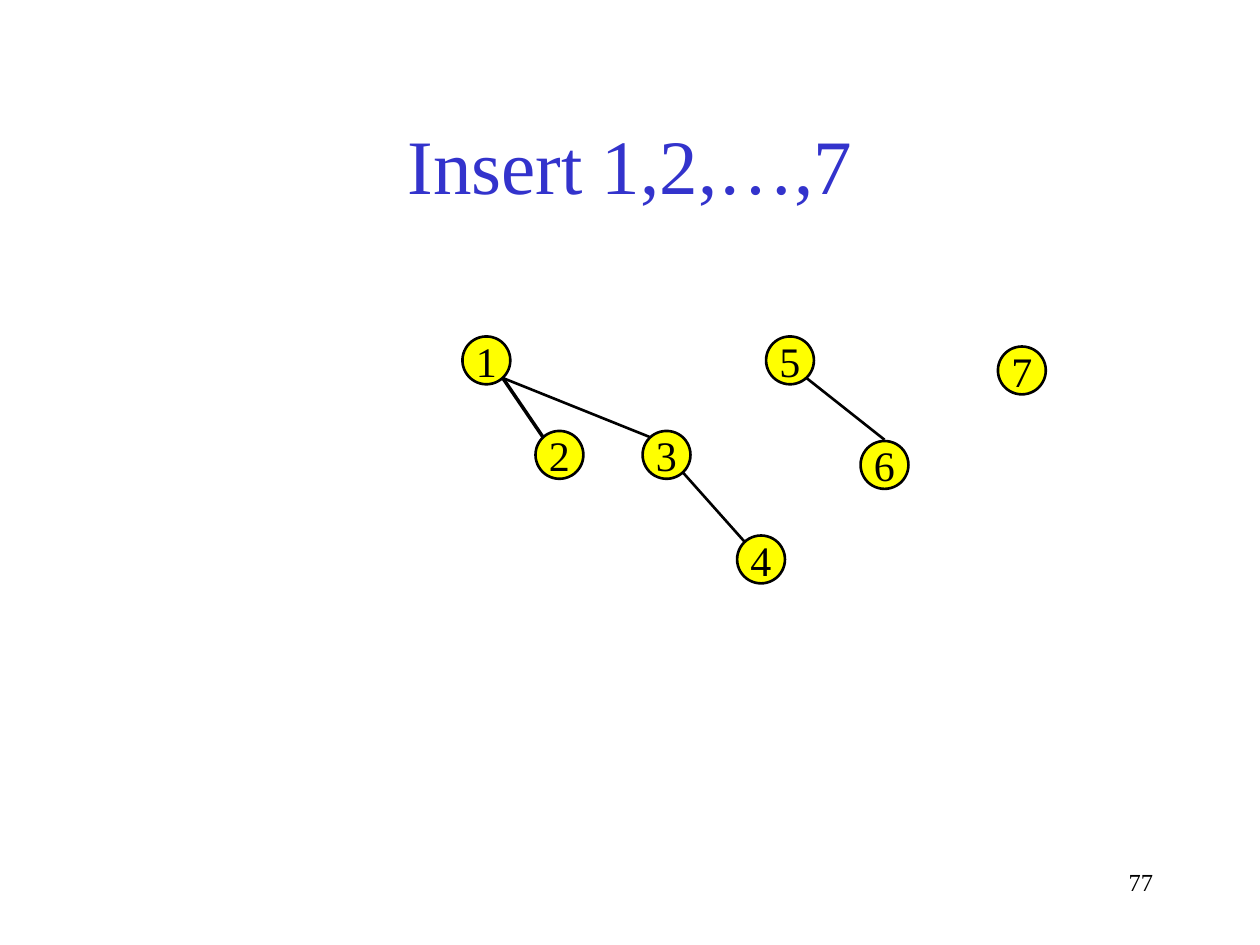
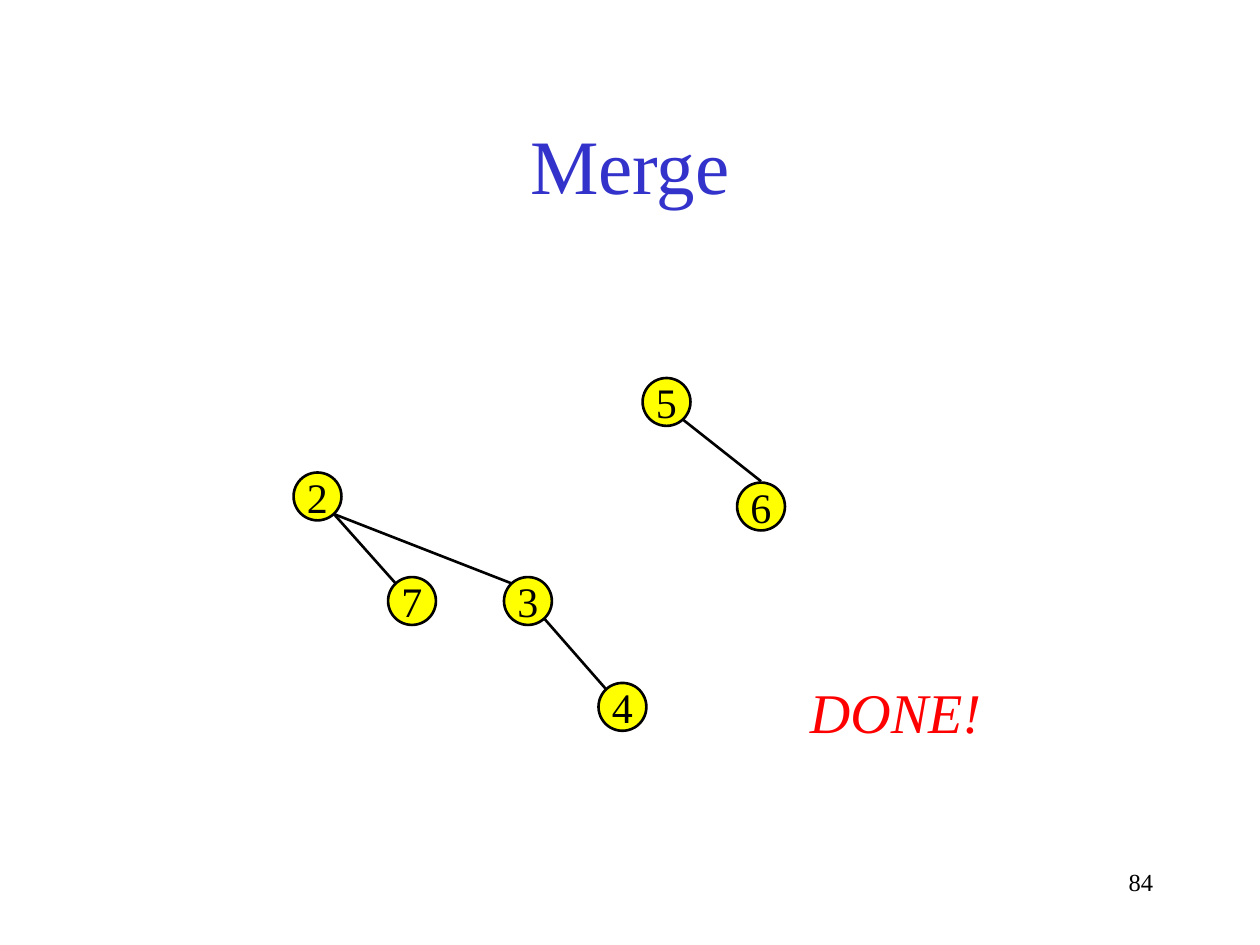
"""Build two slides that show binomial heap trees."""
from pptx import Presentation
from pptx.dml.color import RGBColor as Rgb
from pptx.enum.shapes import MSO_CONNECTOR as Connector, MSO_SHAPE as Shape
from pptx.enum.text import MSO_ANCHOR as Anchor, PP_ALIGN as Align
from pptx.oxml.ns import qn
from pptx.util import Inches, Pt
from lxml.etree import SubElement

COLOURS = {"title": "3333CC", "ink": "000000", "node": "FFFF00", "done": "FF0000"}
FONT = "Times New Roman"
NODE_SIZE = 0.38
NEAR, MIDDLE, FAR = 0.06, 0.19, 0.32


def colour(name):
    """Return the named colour."""
    return Rgb.from_string(COLOURS[name])


def write(holder, text, size=24, ink="ink", align=Align.CENTER,
          anchor=Anchor.MIDDLE, wrap=True, italic=False):
    """Write one formatted line in a shape or text box."""
    frame = holder.text_frame
    frame.word_wrap = wrap
    frame.vertical_anchor = anchor
    para = frame.paragraphs[0]
    para.alignment = align
    span = para.add_run()
    span.text = text
    span.font.name = FONT
    span.font.size = Pt(size)
    span.font.italic = italic
    span.font.color.rgb = colour(ink)


def add_text(page, box, text, **style):
    """Add a text box at left, top, width, height."""
    write(page.shapes.add_textbox(*map(Inches, box)), text, **style)


def add_node(page, label, left, top):
    """Draw one numbered circle."""
    node = page.shapes.add_shape(Shape.OVAL, Inches(left), Inches(top),
                                 Inches(NODE_SIZE), Inches(NODE_SIZE))
    node.shadow.inherit = False
    node.fill.solid()
    node.fill.fore_color.rgb = colour("node")
    node.line.color.rgb = colour("ink")
    node.line.width = Pt(1.5)
    write(node, label, wrap=False)


def add_edge(page, parent, child, entry=NEAR, width=1.5):
    """Link the lower right of a parent to the upper left or top of a child."""
    rise = 0.05 if entry == NEAR else -0.01
    ends = (parent[0] + FAR, parent[1] + FAR + 0.01, child[0] + entry, child[1] + rise)
    edge = page.shapes.add_connector(Connector.STRAIGHT, *map(Inches, ends))
    edge.line.color.rgb = colour("ink")
    edge.line.width = Pt(width)
    SubElement(edge._element.spPr, qn("a:effectLst"))


def add_tree(page, left, top, nodes, edges=()):
    """Draw a tree whose node offsets are relative to its root's corner."""
    places = {label: (left + x, top + y) for label, (x, y) in nodes.items()}
    for label, place in places.items():
        add_node(page, label, *place)
    for parent, child, style in edges:
        add_edge(page, places[parent], places[child], **style)


def add_pair(page, left, top):
    """Draw the tree of 5 and 6."""
    add_tree(page, left, top, {"5": (0, 0), "6": (0.75, 0.83)},
             [("5", "6", {"entry": MIDDLE})])


def add_page(deck, title, number):
    """Add a slide with its title and page number."""
    page = deck.slides.add_slide(deck.slide_layouts[6])
    add_text(page, (7.17, 6.83, 2.08, 0.5), number, size=14,
             align=Align.RIGHT, anchor=Anchor.TOP)
    add_text(page, (0.75, 0.67, 8.5, 1.25), title, size=44, ink="title")
    return page


def build_insert(deck):
    """Build the slide with the trees after insertion."""
    page = add_page(deck, "Insert 1,2,…,7", "77")
    add_tree(page, 3.67, 2.67,
             {"1": (0, 0), "2": (0.58, 0.75), "3": (1.43, 0.75), "4": (2.18, 1.58)},
             [("1", "2", {"width": 2}), ("3", "4", {}), ("1", "3", {})])
    add_pair(page, 6.08, 2.67)
    add_tree(page, 7.92, 2.75, {"7": (0, 0)})


def build_merge(deck):
    """Build the slide with the merged trees."""
    page = add_page(deck, "Merge", "84")
    add_tree(page, 2.33, 3.75,
             {"2": (0, 0), "3": (1.67, 0.83), "4": (2.42, 1.67), "7": (0.75, 0.83)},
             [("3", "4", {}), ("2", "7", {}), ("2", "3", {})])
    add_pair(page, 5.1, 3)
    add_text(page, (6.33, 5.33, 2.92, 0.63), "DONE!", size=32, ink="done",
             align=Align.LEFT, anchor=Anchor.TOP, italic=True)


def main():
    """Build and save the deck."""
    deck = Presentation()
    deck.slide_width, deck.slide_height = Inches(10), Inches(7.5)
    build_insert(deck)
    build_merge(deck)
    deck.save("out.pptx")


if __name__ == "__main__":
    main()
